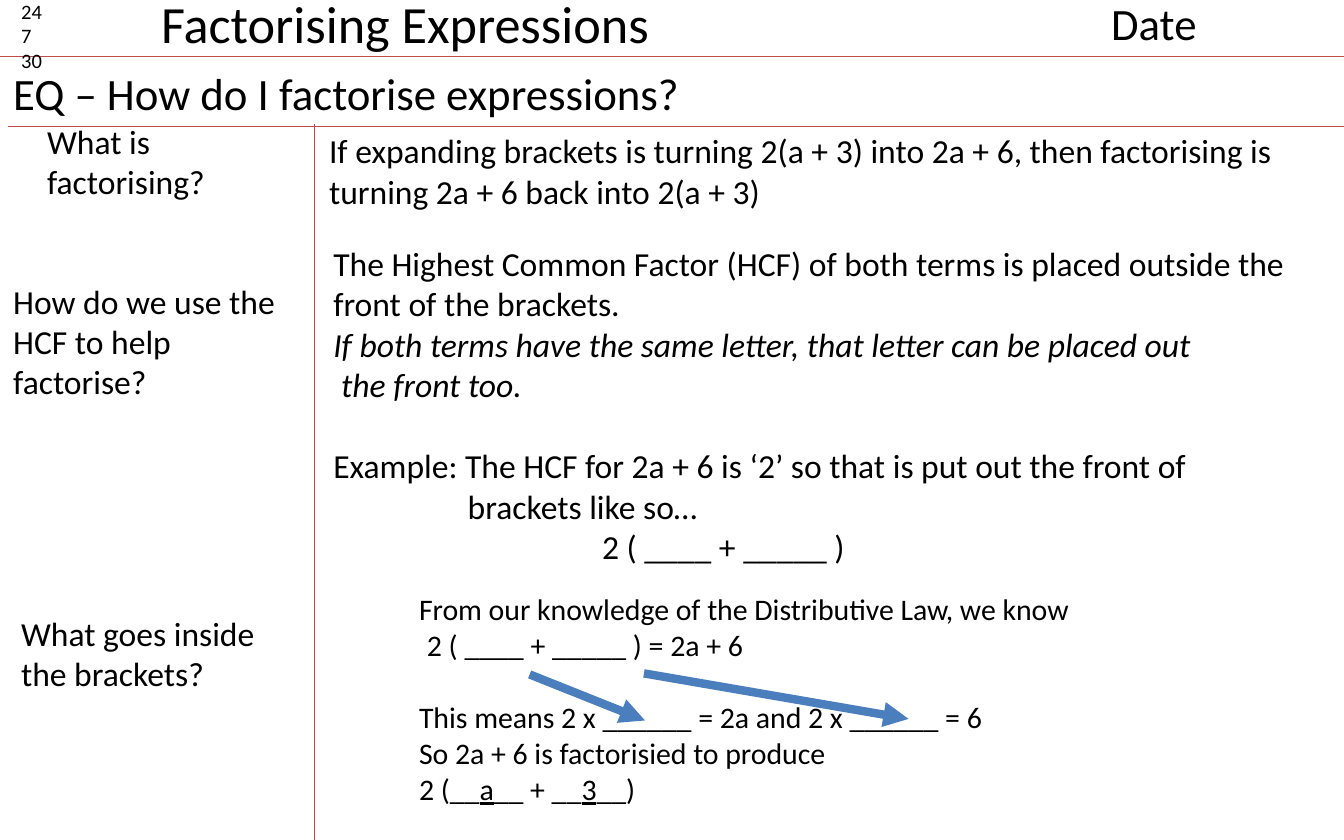
from dataclasses import dataclass

from lxml import etree
from pptx import Presentation
from pptx.dml.color import RGBColor
from pptx.enum.shapes import MSO_CONNECTOR
from pptx.enum.text import MSO_ANCHOR, MSO_AUTO_SIZE, PP_ALIGN
from pptx.oxml.ns import qn
from pptx.util import Cm, Pt

STRAIGHT = MSO_CONNECTOR.STRAIGHT
TOP, LEFT, NO_FIT = MSO_ANCHOR.TOP, PP_ALIGN.LEFT, MSO_AUTO_SIZE.NONE


@dataclass(frozen=True)
class Theme:
    font: str = "Calibri"
    ink: RGBColor = RGBColor(0, 0, 0)
    rule: RGBColor = RGBColor(0xBF, 0x4C, 0x48)
    arrow: RGBColor = RGBColor(0x4B, 0x7E, 0xBC)
    title: int = 28
    heading: int = 24
    body: int = 18
    working: int = 16
    tally: int = 11
    rule_width: float = 0.75
    arrow_width: float = 4.5


THEME = Theme()
W, H = 25.4, 15.88
HEADER_H, CUE_W = 2.39, 5.94
SPACE, TAB = 0.15, 2.54  # indents in cm


def para(*runs, indent=0, before=0, **font):
    """Describe a paragraph; a run is a string or (string, font values)."""
    return {"runs": runs, "indent": indent, "before": before, "font": font}


def fill_text(sp, paras, size, wrap=True):
    tf = sp.text_frame
    for name, value in {"word_wrap": wrap, "auto_size": NO_FIT,
                        "vertical_anchor": TOP}.items():
        setattr(tf, name, value)
    for i, item in enumerate(paras):
        item = para(item) if isinstance(item, str) else item
        p = tf.add_paragraph() if i else tf.paragraphs[0]
        p.alignment = LEFT
        if item["indent"]:
            p._p.get_or_add_pPr().set("marL", str(Cm(item["indent"])))
        if item["before"]:
            p.space_before = Pt(item["before"])
        for run in item["runs"]:
            text, extra = (run, {}) if isinstance(run, str) else run
            r = p.add_run()
            r.text = text
            values = {"name": THEME.font, "size": Pt(size)}
            for name, value in {**values, **item["font"], **extra}.items():
                setattr(r.font, name, value)
            r.font.color.rgb = THEME.ink


def place(sp, box, x, y, w, h):
    for name, value in {"left": box[0] + x, "top": box[1] + y,
                        "width": w, "height": h}.items():
        setattr(sp, name, Cm(value))


def add_text(s, box, x, y, w, h, paras, size):
    sp = s.shapes.add_textbox(0, 0, 0, 0)
    place(sp, box, x, y, w, h)
    fill_text(sp, paras, size)


def add_line(s, box, x1, y1, x2, y2, color, width, arrow=False):
    ends = box[0] + x1, box[1] + y1, box[0] + x2, box[1] + y2
    cxn = s.shapes.add_connector(STRAIGHT, *map(Cm, ends))
    cxn.line.color.rgb = color
    cxn.line.width = Pt(width)
    if arrow:
        etree.SubElement(cxn.line._get_or_add_ln(), qn("a:tailEnd"), type="triangle")
    etree.SubElement(cxn._element.spPr, qn("a:effectLst"))


def add_header(s, box):
    _, _, w, h = box
    # Rules under the title and the enquiry question
    for x, y in ((0, 1.07), (0.15, h)):
        add_line(s, box, x, y, w, y, THEME.rule, THEME.rule_width)
    # Title, tally of numbers, date and question
    title = s.shapes.title
    place(title, box, 2.79, -0.3, 10.06, 1.45)
    fill_text(title, ["Factorising Expressions"], THEME.title, wrap=False)
    add_text(s, box, 0.15, -0.15, 1.6, 1.68, ["24", "7", "30"], THEME.tally)
    add_text(s, box, 20.75, -0.2, 4.39, 1.27, ["Date"], THEME.heading)
    add_text(s, box, 0, 1.12, 22.6, 1.27,
             ["EQ – How do I factorise expressions?"], THEME.heading)


def add_cues(s, box):
    _, _, w, h = box
    # Margin rule
    add_line(s, box, w, -0.05, w, h, THEME.rule, THEME.rule_width)
    # Questions in the margin
    for x, y, width, height, text in (
        (0.64, -0.23, 5.31, 1.8, "What is factorising?"),
        (0, 2.79, 6.05, 2.57, "How do we use the HCF to help factorise?"),
        (0.15, 9.07, 5.23, 1.8, "What goes inside the brackets?"),
    ):
        add_text(s, box, x, y, width, height, [text], THEME.body)


def add_notes(s, box):
    # Definition
    add_text(s, box, 0.03, -0.05, 19.38, 1.8, [
        "If expanding brackets is turning 2(a + 3) into 2a + 6, then "
        "factorising is turning 2a + 6 back into 2(a + 3)",
    ], THEME.body)
    # Highest common factor
    add_text(s, box, 0.11, 2.08, 19.15, 6.4, [
        "The Highest Common Factor (HCF) of both terms is placed outside "
        "the front of the brackets.",
        para("If both terms have the same letter, that letter can be placed out",
             italic=True),
        para("the front too.", indent=SPACE, italic=True),
        para("Example: The HCF for 2a + 6 is ‘2’ so that is put out the front of",
             before=22),
        para("brackets like so…", indent=TAB),
        para("2 ( ____ + _____ )", indent=2 * TAB),
    ], THEME.body)
    # Distributive law working
    underlined = {"underline": True}
    add_text(s, box, 1.73, 8.66, 15.98, 4.37, [
        "From our knowledge of the Distributive Law, we know",
        para("2 ( ____ + _____ ) = 2a + 6", indent=SPACE),
        para("This means 2 x ______ = 2a and 2 x ______ = 6", before=19.5),
        "So 2a + 6 is factorisied to produce",
        para("2 (__", ("a", underlined), "__ + __", ("3", underlined), "__)"),
    ], THEME.working)
    # Arrows from each blank to its equation
    for ends in ((6.23, 10.34, 11.23, 11.2), (4.07, 10.36, 6.25, 11.23)):
        add_line(s, box, *ends, THEME.arrow, THEME.arrow_width, arrow=True)


def main():
    prs = Presentation()
    prs.slide_width, prs.slide_height = Cm(W), Cm(H)
    s = prs.slides.add_slide(prs.slide_layouts.get_by_name("Title Only"))
    body_h = H - HEADER_H
    add_header(s, (0, 0, W, HEADER_H))
    add_cues(s, (0, HEADER_H, CUE_W, body_h))
    add_notes(s, (CUE_W, HEADER_H, W - CUE_W, body_h))
    prs.save("out.pptx")


if __name__ == "__main__":
    main()
